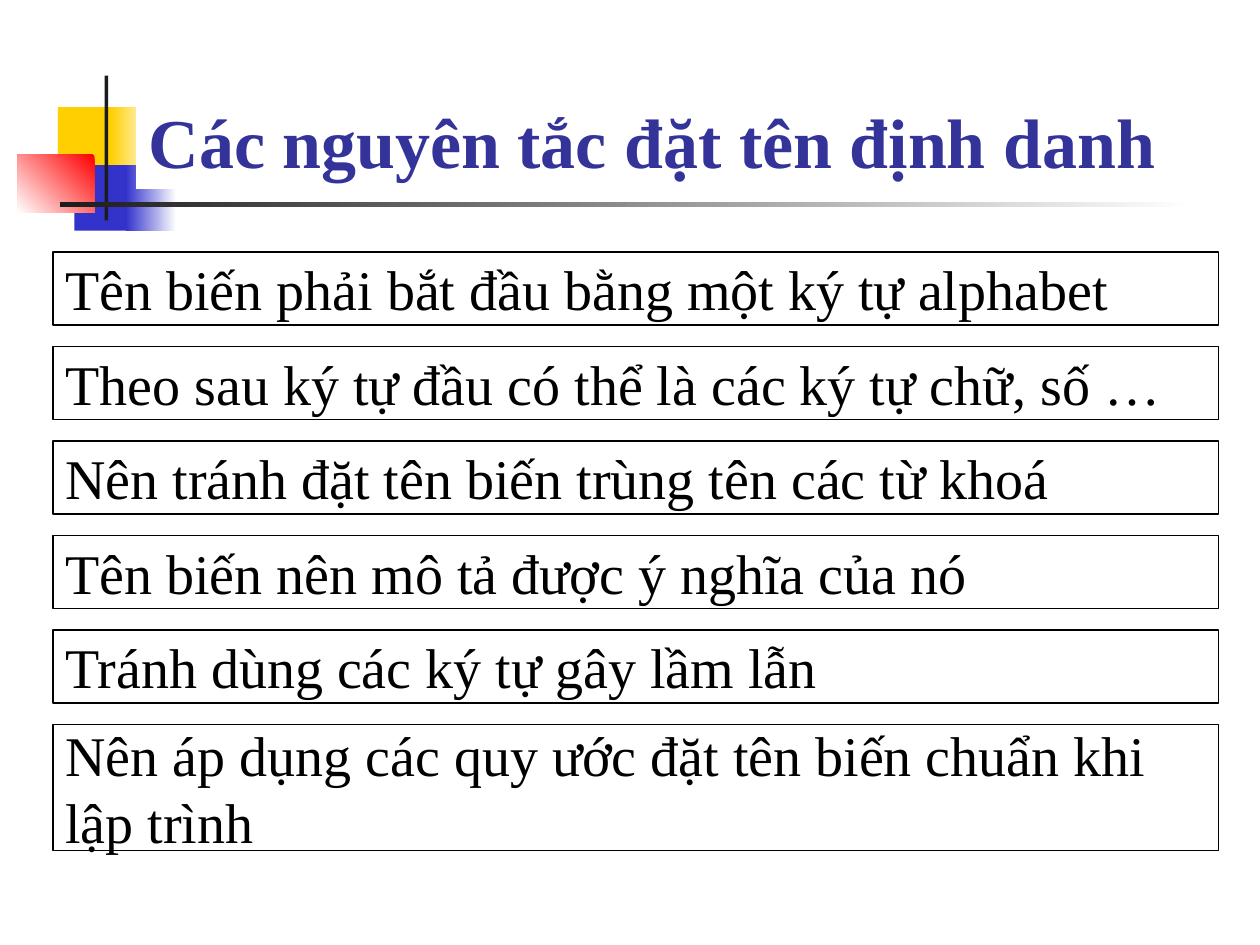
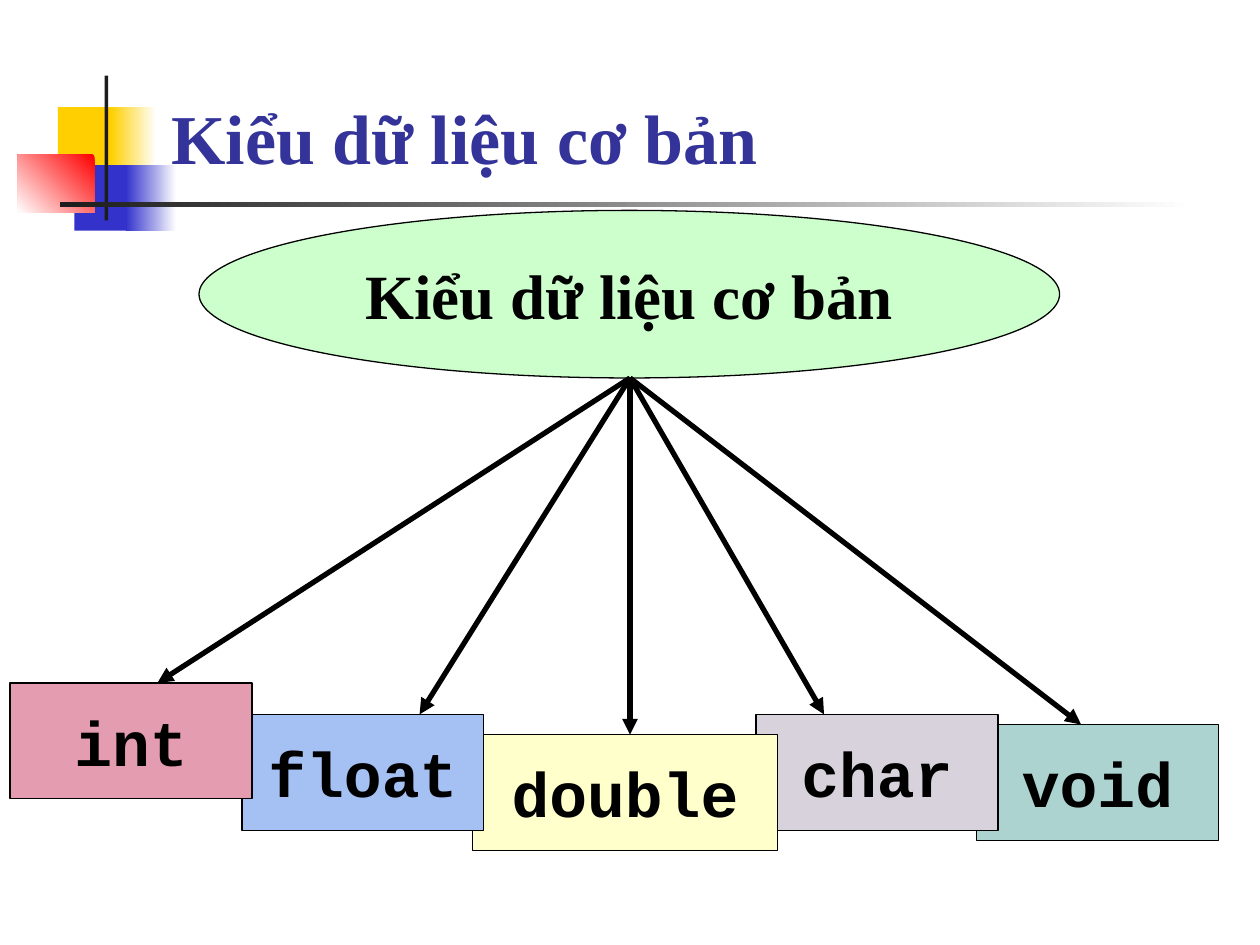
"""Build two slides on identifier naming rules and basic data types."""
from lxml import etree
from pptx import Presentation
from pptx.dml.color import RGBColor
from pptx.enum.shapes import MSO_CONNECTOR, MSO_SHAPE
from pptx.enum.text import MSO_ANCHOR, MSO_AUTO_SIZE, PP_ALIGN
from pptx.oxml.ns import qn
from pptx.util import Pt

PX = 9144
RECTANGLE, OVAL = MSO_SHAPE.RECTANGLE, MSO_SHAPE.OVAL
STRAIGHT = MSO_CONNECTOR.STRAIGHT
LEFT, CENTER = PP_ALIGN.LEFT, PP_ALIGN.CENTER
MIDDLE, BOTTOM = MSO_ANCHOR.MIDDLE, MSO_ANCHOR.BOTTOM
NO_FIT = MSO_AUTO_SIZE.NONE

BLACK = RGBColor(0x00, 0x00, 0x00)
WHITE = RGBColor(0xFF, 0xFF, 0xFF)
CHARCOAL = RGBColor(0x1C, 0x1C, 0x1C)
GOLD = RGBColor(0xFF, 0xCF, 0x01)
BLUE = RGBColor(0x33, 0x33, 0xCC)
RED = RGBColor(0xFF, 0x00, 0x00)
TITLE_BLUE = RGBColor(0x33, 0x33, 0x99)
PALE_GREEN = RGBColor(0xCC, 0xFF, 0xCC)
TEAL = RGBColor(0xAD, 0xD3, 0xD1)
LILAC = RGBColor(0xD7, 0xD2, 0xDC)
CREAM = RGBColor(0xFF, 0xFF, 0xCC)
SKY = RGBColor(0xA5, 0xC1, 0xF3)
PINK = RGBColor(0xE4, 0x9C, 0xB1)

SERIF, MONO = "Times New Roman", "Courier New"
TITLE_FONT = {"name": SERIF, "size": Pt(40), "bold": True}
RULE_FONT = {"name": SERIF, "size": Pt(32), "bold": False}
ROOT_FONT = {"name": SERIF, "size": Pt(36), "bold": True}
TYPE_FONT = {"name": MONO, "size": Pt(36), "bold": True}

ORNAMENT = [
    ((46, 85, 48, 52), GOLD, None, 0),
    ((88, 85, 36, 52), WHITE, GOLD, 180),
    ((59, 131, 46, 52), BLUE, None, 0),
    ((100, 131, 40, 52), WHITE, BLUE, 180),
    ((14, 123, 61, 46), RED, WHITE, 225),
    ((83, 60, 3, 115), CHARCOAL, None, 0),
    ((48, 160, 900, 4), WHITE, CHARCOAL, 180),
]
NAMING_RULES = [
    "Tên biến phải bắt đầu bằng một ký tự alphabet",
    "Theo sau ký tự đầu có thể là các ký tự chữ, số …",
    "Nên tránh đặt tên biến trùng tên các từ khoá",
    "Tên biến nên mô tả được ý nghĩa của nó",
    "Tránh dùng các ký tự gây lầm lẫn",
    "Nên áp dụng các quy ước đặt tên biến chuẩn khi lập trình",
]
DATA_TYPES = [
    ("void", 775, 575, 192, TEAL, 858),
    ("char", 600, 567, 192, LILAC, 654),
    ("double", 375, 583, 242, CREAM, 500),
    ("float", 192, 567, 192, SKY, 333),
    ("int", 8, 542, 192, PINK, 125),
]


class Deck:
    """Hold the presentation, its style and the current slide."""

    def __init__(self):
        self.presentation = Presentation()
        self.presentation.slide_width = 1000 * PX
        self.presentation.slide_height = 750 * PX
        self.slide = None

    def start_slide(self, title, box, fill=None):
        """Add a slide with the ornament and a title above it."""
        layout = self.presentation.slide_layouts[5]
        self.slide = self.presentation.slides.add_slide(layout)
        for ornament_box, color, end_color, angle in ORNAMENT:
            self.ornament(ornament_box, color, end_color, angle)
        shape = self.slide.shapes.title
        self.slide.shapes._spTree.append(shape._element)
        for name, value in zip(("left", "top", "width", "height"), box):
            setattr(shape, name, value * PX)
        if fill is not None:
            self.paint(shape, fill)
        self.set_text(shape, title, TITLE_FONT, TITLE_BLUE, LEFT, BOTTOM)

    def paint(self, shape, color):
        """Give the shape a solid fill."""
        shape.fill.solid()
        shape.fill.fore_color.rgb = color

    def set_text(self, shape, text, font, color, align, anchor=MIDDLE):
        """Set the text of a shape and its format."""
        frame = shape.text_frame
        frame.text = text
        layout = {"word_wrap": True, "auto_size": NO_FIT, "vertical_anchor": anchor}
        for name, value in layout.items():
            setattr(frame, name, value)
        paragraph = frame.paragraphs[0]
        paragraph.alignment = align
        run_font = paragraph.runs[0].font
        for name, value in font.items():
            setattr(run_font, name, value)
        run_font.color.rgb = color

    def add_shape(self, kind, box):
        """Add a preset shape without a shadow."""
        shape = self.slide.shapes.add_shape(kind, *(value * PX for value in box))
        shape.shadow.inherit = False
        return shape

    def ornament(self, box, color, end_color, angle):
        """Add a borderless solid or gradient rectangle."""
        shape = self.add_shape(RECTANGLE, box)
        shape.line.fill.background()
        if end_color is None:
            self.paint(shape, color)
            return
        shape.fill.gradient()
        shape.fill.gradient_angle = angle
        for stop, stop_color in zip(shape.fill.gradient_stops, (color, end_color)):
            stop.color.rgb = stop_color

    def box(self, kind, box, text, font, fill=None, align=CENTER):
        """Add an outlined shape with text."""
        shape = self.add_shape(kind, box)
        if fill is None:
            shape.fill.background()
        else:
            self.paint(shape, fill)
        shape.line.color.rgb = BLACK
        shape.line.width = Pt(0.75)
        self.set_text(shape, text, font, BLACK, align)

    def arrow(self, start, end):
        """Add a straight arrow between two points."""
        points = (value * PX for value in (*start, *end))
        connector = self.slide.shapes.add_connector(STRAIGHT, *points)
        connector.line.color.rgb = BLACK
        connector.line.width = Pt(3)
        line = connector.line._get_or_add_ln()
        etree.SubElement(line, qn("a:tailEnd"), type="triangle")
        etree.SubElement(connector._element.spPr, qn("a:effectLst"))


def add_naming_rules(deck):
    """Add the slide that lists the naming rules."""
    deck.start_slide("Các nguyên tắc đặt tên định danh", (108, 58, 870, 92), WHITE)
    for index, rule in enumerate(NAMING_RULES):
        height = 100 if rule == NAMING_RULES[-1] else 58
        bar = (42, 200 + 75 * index, 925, height)
        deck.box(RECTANGLE, bar, rule, RULE_FONT, align=LEFT)


def add_data_types(deck):
    """Add the slide that shows the tree of basic types."""
    heading = "Kiểu dữ liệu cơ bản"
    deck.start_slide(heading, (126, 58, 841, 89))
    deck.box(OVAL, (158, 167, 683, 133), heading, ROOT_FONT, PALE_GREEN)
    for name, left, top, width, color, _ in DATA_TYPES:
        deck.box(RECTANGLE, (left, top, width, 92), name, TYPE_FONT, color)
    for _, _, top, _, _, tip in DATA_TYPES:
        deck.arrow((500, 300), (tip, top))


def main():
    """Build and save the presentation."""
    deck = Deck()
    add_naming_rules(deck)
    add_data_types(deck)
    deck.presentation.save("out.pptx")


if __name__ == "__main__":
    main()
